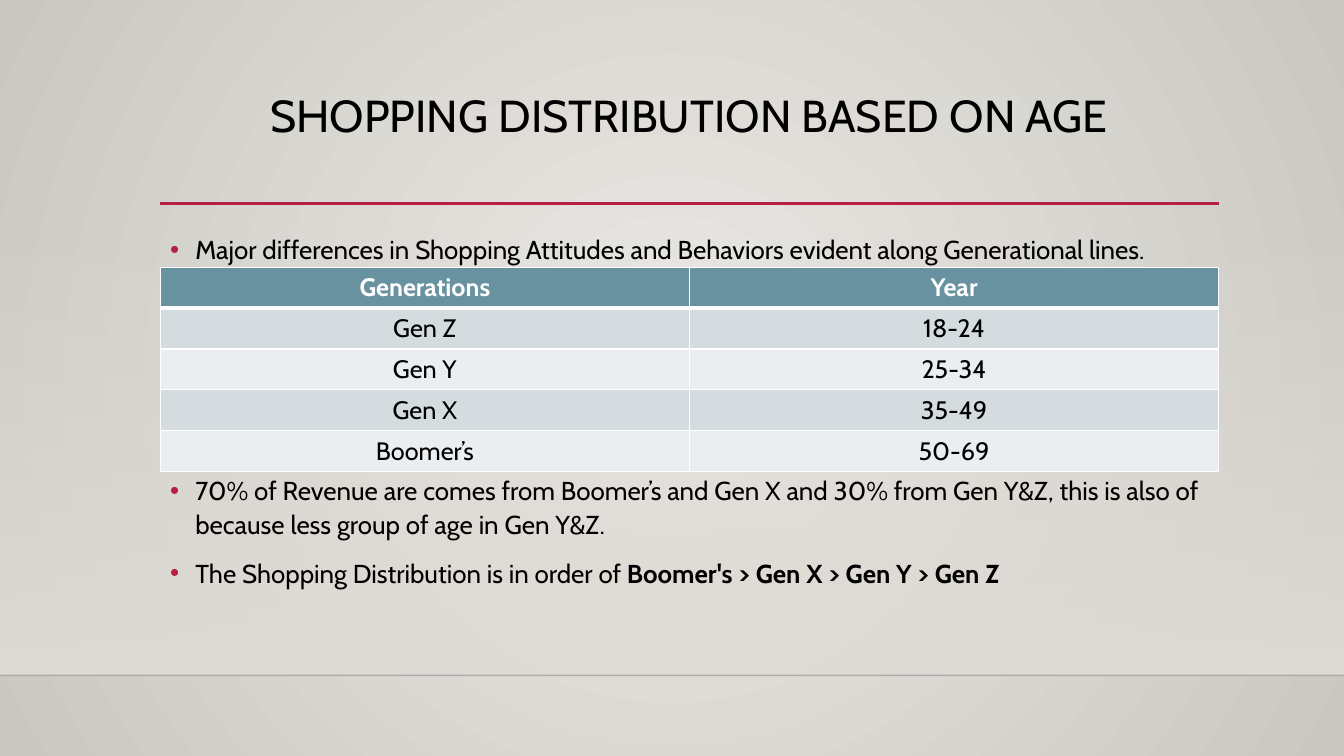
from dataclasses import dataclass, field
from typing import Any

from lxml.etree import SubElement
from pptx import Presentation
from pptx.dml.color import RGBColor
from pptx.enum.shapes import MSO_CONNECTOR, MSO_SHAPE
from pptx.enum.text import MSO_ANCHOR, PP_ALIGN
from pptx.oxml.ns import qn
from pptx.util import Pt

HUES = {
    "black": "000000", "white": "FFFFFF", "red": "B71E42",
    "light": "ECEAE7", "dark": "CAC7C1", "sand": "DFDBD5",
    "head": "6892A0", "odd": "D4DCDF", "even": "EBEEF0",
}
WIDE, HIGH = 960, 540
LEFT, SPAN = 114.5, 756
FLOOR = 482.4
ROW = 29.25
FACE = "Cabin"


@dataclass
class Rule:
    left: float
    right: float
    top: float
    hue: str
    width: float
    alpha: int = 100


@dataclass
class Run:
    text: str
    bold: bool = False


@dataclass
class Para:
    runs: list[Run]
    size: float
    form: dict[str, Any] = field(default_factory=dict)
    dot: bool = False


@dataclass
class Box:
    top: float
    height: float
    paras: list[Para]


def tint(name: str) -> RGBColor:
    return RGBColor.from_string(HUES[name])


def apply(item: Any, form: dict[str, Any]) -> None:
    for key, value in form.items():
        setattr(item, key, value)


def fade(node: Any, alpha: int) -> None:
    SubElement(node, qn("a:alpha"), val=str(alpha * 1000))


def blend(fill: Any, first: str, last: str) -> None:
    fill.gradient()
    for stop, hue, place in zip(fill.gradient_stops, (first, last), (0, 1)):
        stop.color.rgb = tint(hue)
        stop.position = place


def draw_back(slide: Any) -> None:
    blend(slide.background.fill, "light", "dark")
    grad = slide.element.find(".//" + qn("a:gradFill"))
    grad.remove(grad.find(qn("a:lin")))
    ring = SubElement(grad, qn("a:path"), path="circle")
    SubElement(ring, qn("a:fillToRect"), {side: "50000" for side in "ltrb"})


def draw_wall(slide: Any) -> None:
    top = 159.1
    wall = slide.shapes.add_shape(
        MSO_SHAPE.RECTANGLE, Pt(0), Pt(top), Pt(WIDE), Pt(FLOOR - top))
    wall.shadow.inherit = False
    wall.line.fill.background()
    blend(wall.fill, "sand", "sand")
    wall.fill.gradient_angle = 270
    fade(wall.element.find(".//" + qn("a:gs"))[0], 0)


def draw_rule(slide: Any, rule: Rule) -> None:
    line = slide.shapes.add_connector(
        MSO_CONNECTOR.STRAIGHT, Pt(rule.left), Pt(rule.top),
        Pt(rule.right), Pt(rule.top))
    line.line.width = Pt(rule.width)
    line.line.color.rgb = tint(rule.hue)
    if rule.alpha < 100:
        fade(line.element.find(".//" + qn("a:srgbClr")), rule.alpha)
    SubElement(line.element.spPr, qn("a:effectLst"))


def add_dot(para: Any) -> None:
    props = para._p.get_or_add_pPr()
    props.set("marL", str(Pt(18)))
    props.set("indent", str(Pt(-18)))
    SubElement(SubElement(props, qn("a:buClr")), qn("a:srgbClr"), val=HUES["red"])
    SubElement(props, qn("a:buFont"), typeface="Arial")
    SubElement(props, qn("a:buChar"), char="•")


def fill_para(para: Any, data: Para, hue: str = "black") -> None:
    apply(para, data.form)
    if data.dot:
        add_dot(para)
    for part in data.runs:
        run = para.add_run()
        run.text = part.text
        run.font.color.rgb = tint(hue)
        apply(run.font, {"name": FACE, "size": Pt(data.size), "bold": part.bold})


def draw_box(slide: Any, box: Box) -> None:
    shape = slide.shapes.add_textbox(
        Pt(LEFT), Pt(box.top), Pt(SPAN), Pt(box.height))
    frame = shape.text_frame
    apply(frame, {"word_wrap": True, "vertical_anchor": MSO_ANCHOR.TOP})
    for i, data in enumerate(box.paras):
        para = frame.add_paragraph() if i else frame.paragraphs[0]
        fill_para(para, data)


def add_edges(cell: Any, base: float) -> None:
    props = cell._tc.get_or_add_tcPr()
    widths = {"lnL": 1, "lnR": 1, "lnT": 1, "lnB": base}
    for i, (side, width) in enumerate(widths.items()):
        edge = props.makeelement(qn("a:" + side), {"w": str(Pt(width))})
        paint = SubElement(edge, qn("a:solidFill"))
        SubElement(paint, qn("a:srgbClr"), val=HUES["white"])
        props.insert(i, edge)


def draw_table(slide: Any, rows: list[tuple[str, str]]) -> None:
    table = slide.shapes.add_table(
        len(rows), 2, Pt(LEFT), Pt(190.8), Pt(SPAN), Pt(ROW * len(rows))).table
    for r, texts in enumerate(rows):
        table.rows[r].height = Pt(ROW)
        top = r == 0
        back = "head" if top else ("odd" if r % 2 else "even")
        for c, text in enumerate(texts):
            cell = table.cell(r, c)
            cell.fill.solid()
            cell.fill.fore_color.rgb = tint(back)
            data = Para([Run(text, top)], 18, {"alignment": PP_ALIGN.CENTER})
            fill_para(cell.text_frame.paragraphs[0], data,
                      "white" if top else "black")
            add_edges(cell, 3 if top else 1)


def bullet(runs: list[Run], gap: float = 10) -> Para:
    return Para(runs, 18.5, {"line_spacing": 1.1, "space_before": Pt(gap)}, True)


RULES = [
    Rule(0, WIDE, FLOOR, "black", 1, 20),
    Rule(LEFT, 871, 145.4, "red", 2.5),
]
TITLE = Para([Run("SHOPPING DISTRIBUTION BASED ON AGE")], 32,
             {"alignment": PP_ALIGN.CENTER, "line_spacing": 0.9})
BOXES = [
    Box(63.4, 82.8, [TITLE]),
    Box(161.3, 271.4, [
        bullet([Run("Major differences in Shopping Attitudes and Behaviors "
                    "evident along Generational lines.")]),
        bullet([Run("70% of Revenue are comes from Boomer’s and Gen X and 30% "
                    "from Gen Y&Z, this is also of because less group of age "
                    "in Gen Y&Z.")], 147.7),
        bullet([Run("The Shopping Distribution is in order of "),
                Run("Boomer's > Gen X > Gen Y > Gen Z", True)]),
    ]),
]
AGES = [("Generations", "Year"), ("Gen Z", "18-24"), ("Gen Y", "25-34"),
        ("Gen X", "35-49"), ("Boomer’s", "50-69")]


def main() -> None:
    deck = Presentation()
    apply(deck, {"slide_width": Pt(WIDE), "slide_height": Pt(HIGH)})
    slide = deck.slides.add_slide(deck.slide_layouts[6])
    draw_back(slide)
    draw_wall(slide)
    for rule in RULES:
        draw_rule(slide, rule)
    for box in BOXES:
        draw_box(slide, box)
    draw_table(slide, AGES)
    deck.save("out.pptx")


if __name__ == "__main__":
    main()
